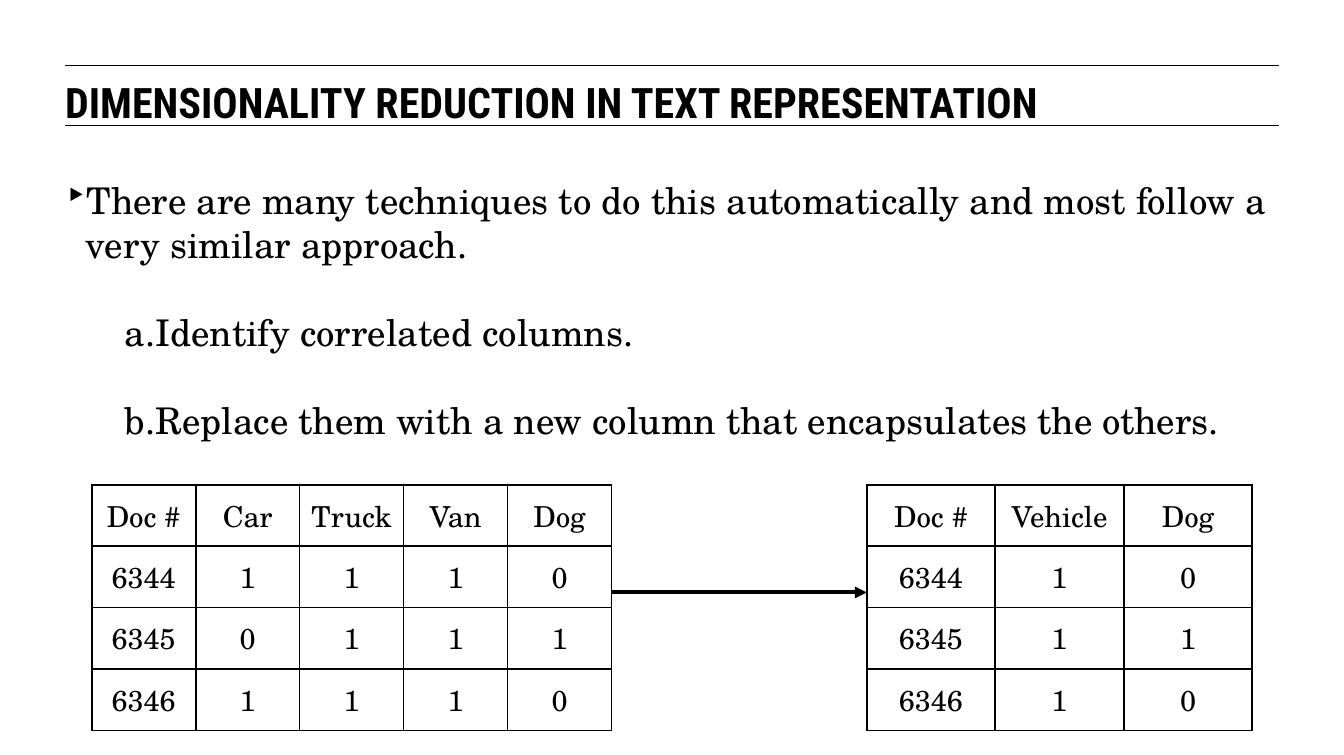
from lxml.etree import SubElement
from pptx import Presentation
from pptx.dml.color import RGBColor
from pptx.enum.shapes import MSO_CONNECTOR as Connector
from pptx.enum.text import MSO_ANCHOR as Anchor, PP_ALIGN as Align
from pptx.oxml.ns import qn
from pptx.util import Inches, Pt

# Content
TITLE = "DIMENSIONALITY REDUCTION IN TEXT REPRESENTATION"
INTRO = ("There are many techniques to do this automatically "
         "and most follow a very similar approach.")
STEPS = [
    "Identify correlated columns.",
    "Replace them with a new column that encapsulates the others.",
]
ORIGINAL_COLUMNS = [
    ("Doc #", "Car", "Truck", "Van", "Dog"),
    ("6344", "1", "1", "1", "0"),
    ("6345", "0", "1", "1", "1"),
    ("6346", "1", "1", "1", "0"),
]
REDUCED_COLUMNS = [
    ("Doc #", "Vehicle", "Dog"),
    ("6344", "1", "0"),
    ("6345", "1", "1"),
    ("6346", "1", "0"),
]

THEME = {
    "ink": RGBColor(0, 0, 0),
    "title_font": "Roboto Condensed", "title_size": Pt(32),
    "body_font": "TeX Gyre Schola", "body_size": Pt(28),
    "cell_size": Pt(22), "step_gap": Pt(33.6),
    "rule": Pt(0.75), "border": Pt(1.5), "arrow": Pt(3),
}

# Layout, in inches
LEFT, RIGHT = 0.69, 13.53
RULE_TOPS = (0.69, 1.33)
TABLE_TOP, ROW_HEIGHT = 5.13, 0.65
ORIGINAL_LEFT, ORIGINAL_COLUMN = 0.97, 1.1
REDUCED_LEFT, REDUCED_COLUMN = 9.17, 1.36
ARROW_TOP = 6.27

deck = Presentation()
deck.slide_width, deck.slide_height = Inches(14.22), Inches(7.99)
slide = deck.slides.add_slide(deck.slide_layouts[6])


def style(paragraph, font, size, bold=False):
    paragraph.font.name = font
    paragraph.font.size = size
    paragraph.font.bold = bold
    paragraph.font.color.rgb = THEME["ink"]


def add_line(x1, y1, x2, y2, width):
    line = slide.shapes.add_connector(
        Connector.STRAIGHT, Inches(x1), Inches(y1), Inches(x2), Inches(y2))
    line.line.color.rgb = THEME["ink"]
    line.line.width = width
    SubElement(line._element.spPr, qn("a:effectLst"))
    return line


def add_text_frame(top, height):
    frame = slide.shapes.add_textbox(
        Inches(LEFT), Inches(top), Inches(RIGHT - LEFT), Inches(height)).text_frame
    frame.word_wrap = True
    frame.margin_left = frame.margin_right = 0
    frame.margin_top = frame.margin_bottom = 0
    return frame


def set_bullet(paragraph, margin, indent, tag, **attributes):
    properties = paragraph._p.get_or_add_pPr()
    properties.set("marL", str(Inches(margin)))
    properties.set("indent", str(Inches(indent)))
    SubElement(properties, qn(tag), attributes)


def add_borders(cell):
    properties = cell._tc.get_or_add_tcPr()
    for position, side in enumerate(("a:lnL", "a:lnR", "a:lnT", "a:lnB")):
        border = properties.makeelement(qn(side), {"w": str(THEME["border"])})
        fill = SubElement(border, qn("a:solidFill"))
        SubElement(fill, qn("a:srgbClr"), val=str(THEME["ink"]))
        properties.insert(position, border)


def add_grid(rows, left, column_width):
    columns = len(rows[0])
    grid = slide.shapes.add_table(
        len(rows), columns, Inches(left), Inches(TABLE_TOP),
        Inches(columns * column_width), Inches(len(rows) * ROW_HEIGHT)).table
    grid.first_row = grid.horz_banding = False
    for r, row in enumerate(rows):
        for c, value in enumerate(row):
            cell = grid.cell(r, c)
            cell.text = value
            cell.margin_left = cell.margin_right = Inches(0.1)
            cell.margin_top = cell.margin_bottom = Inches(0.1)
            cell.vertical_anchor = Anchor.MIDDLE
            cell.fill.background()
            paragraph = cell.text_frame.paragraphs[0]
            paragraph.alignment = Align.CENTER
            style(paragraph, THEME["body_font"], THEME["cell_size"])
            add_borders(cell)


# Title between two rules
for rule_top in RULE_TOPS:
    add_line(LEFT, rule_top, RIGHT, rule_top, THEME["rule"])
title = add_text_frame(0.81, 0.47).paragraphs[0]
title.text = TITLE
style(title, THEME["title_font"], THEME["title_size"], bold=True)

# Introduction and lettered steps
body = add_text_frame(1.88, 3.08)
intro = body.paragraphs[0]
intro.text = INTRO
style(intro, THEME["body_font"], THEME["body_size"])
set_bullet(intro, 0.22, -0.28, "a:buChar", char="‣")
for step_text in STEPS:
    step = body.add_paragraph()
    step.text = step_text
    step.level = 1
    step.space_before = THEME["step_gap"]
    style(step, THEME["body_font"], THEME["body_size"])
    set_bullet(step, 0.72, -0.09, "a:buAutoNum", type="alphaLcPeriod")

# Tables before and after the reduction
add_grid(ORIGINAL_COLUMNS, ORIGINAL_LEFT, ORIGINAL_COLUMN)
add_grid(REDUCED_COLUMNS, REDUCED_LEFT, REDUCED_COLUMN)

# Arrow from the first table to the second
original_right = ORIGINAL_LEFT + len(ORIGINAL_COLUMNS[0]) * ORIGINAL_COLUMN
arrow = add_line(original_right, ARROW_TOP, REDUCED_LEFT, ARROW_TOP, THEME["arrow"])
SubElement(arrow.line._get_or_add_ln(), qn("a:tailEnd"), type="triangle")

deck.save("out.pptx")
